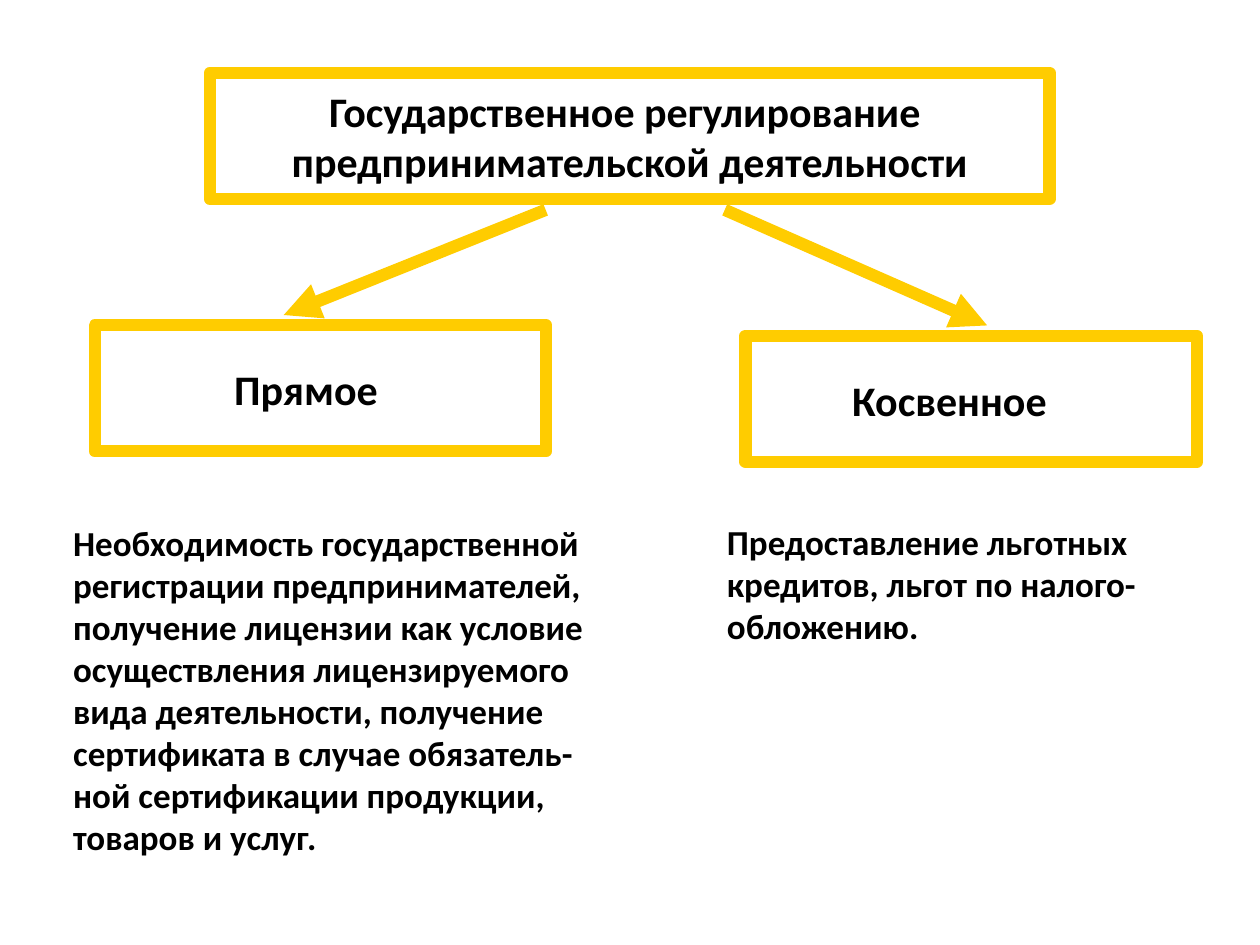
from lxml.etree import SubElement
from pptx import Presentation
from pptx.dml.color import RGBColor
from pptx.enum.shapes import MSO_CONNECTOR as CONNECTOR, MSO_SHAPE as SHAPE
from pptx.enum.text import MSO_ANCHOR as ANCHOR, MSO_AUTO_SIZE as AUTO_SIZE, PP_ALIGN as ALIGN
from pptx.oxml.ns import qn
from pptx.util import Cm, Pt

GOLD = RGBColor(0xFF, 0xCC, 0x00)
BLACK = RGBColor(0, 0, 0)
FONT = "Calibri"
BORDER = Pt(7)

HEADING = "Государственное регулирование \nпредпринимательской деятельности"
DIRECT_MEASURES = """Необходимость государственной
регистрации предпринимателей,
получение лицензии как условие
осуществления лицензируемого
вида деятельности, получение
сертификата в случае обязатель-
ной сертификации продукции,
товаров и услуг."""
INDIRECT_MEASURES = """Предоставление льготных
кредитов, льгот по налого-
обложению."""


def place(shape, left, top, width, height):
    shape.left, shape.top = Cm(left), Cm(top)
    shape.width, shape.height = Cm(width), Cm(height)


def write(shape, text, size, align=ALIGN.LEFT, anchor=ANCHOR.TOP):
    frame = shape.text_frame
    frame.text = text
    frame.word_wrap = True
    frame.auto_size = AUTO_SIZE.NONE
    frame.vertical_anchor = anchor
    for paragraph in frame.paragraphs:
        paragraph.alignment = align
        paragraph.space_before = Pt(0)
        for run in paragraph.runs:
            run.font.name = FONT
            run.font.size = Pt(size)
            run.font.bold = True
            run.font.color.rgb = BLACK


def outline(shape):
    shape.fill.background()
    shape.line.color.rgb = GOLD
    shape.line.width = BORDER


def add_heading(slide):
    heading = slide.shapes.title
    place(heading, 4.23, 1.47, 16.93, 2.54)
    outline(heading)
    write(heading, HEADING, 24, ALIGN.CENTER, ANCHOR.MIDDLE)


def add_frame(slide, left, top):
    frame = slide.shapes.add_shape(SHAPE.RECTANGLE, Cm(left), Cm(top), Cm(9.1), Cm(2.54))
    frame.shadow.inherit = False
    outline(frame)


def add_label(slide, text, left, top, width, align):
    label = slide.shapes.add_textbox(Cm(left), Cm(top), Cm(width), Cm(1.27))
    write(label, text, 24, align)


def add_arrow(slide, start, end):
    points = [Cm(value) for value in (*start, *end)]
    arrow = slide.shapes.add_connector(CONNECTOR.STRAIGHT, *points)
    arrow.line.color.rgb = GOLD
    arrow.line.width = BORDER
    SubElement(arrow.line._get_or_add_ln(), qn("a:tailEnd"), type="triangle")
    SubElement(arrow._element.spPr, qn("a:effectLst"))


def fill_measures(measures, text, left, top, width, height):
    place(measures, left, top, width, height)
    write(measures, text, 20)
    for paragraph in measures.text_frame.paragraphs:
        properties = paragraph._p.get_or_add_pPr()
        properties.set("marL", "0")
        properties.set("indent", "0")
        SubElement(properties, qn("a:buNone"))


def main():
    presentation = Presentation()
    presentation.slide_width, presentation.slide_height = Cm(25.4), Cm(19.05)
    slide = presentation.slides.add_slide(presentation.slide_layouts[3])

    add_heading(slide)
    add_arrow(slide, (11, 4.23), (5.72, 6.35))
    add_arrow(slide, (14.61, 4.23), (19.9, 6.56))
    add_frame(slide, 1.91, 6.56)
    add_frame(slide, 15.03, 6.77)
    add_label(slide, "Прямое", 4.34, 7.21, 3.66, ALIGN.CENTER)
    add_label(slide, "Косвенное", 16.93, 7.42, 5.23, ALIGN.LEFT)
    fill_measures(slide.placeholders[1], DIRECT_MEASURES, 1.22, 10.38, 12.93, 7.03)
    fill_measures(slide.placeholders[2], INDIRECT_MEASURES, 14.4, 10.36, 10.57, 2.8)

    presentation.save("out.pptx")


if __name__ == "__main__":
    main()
